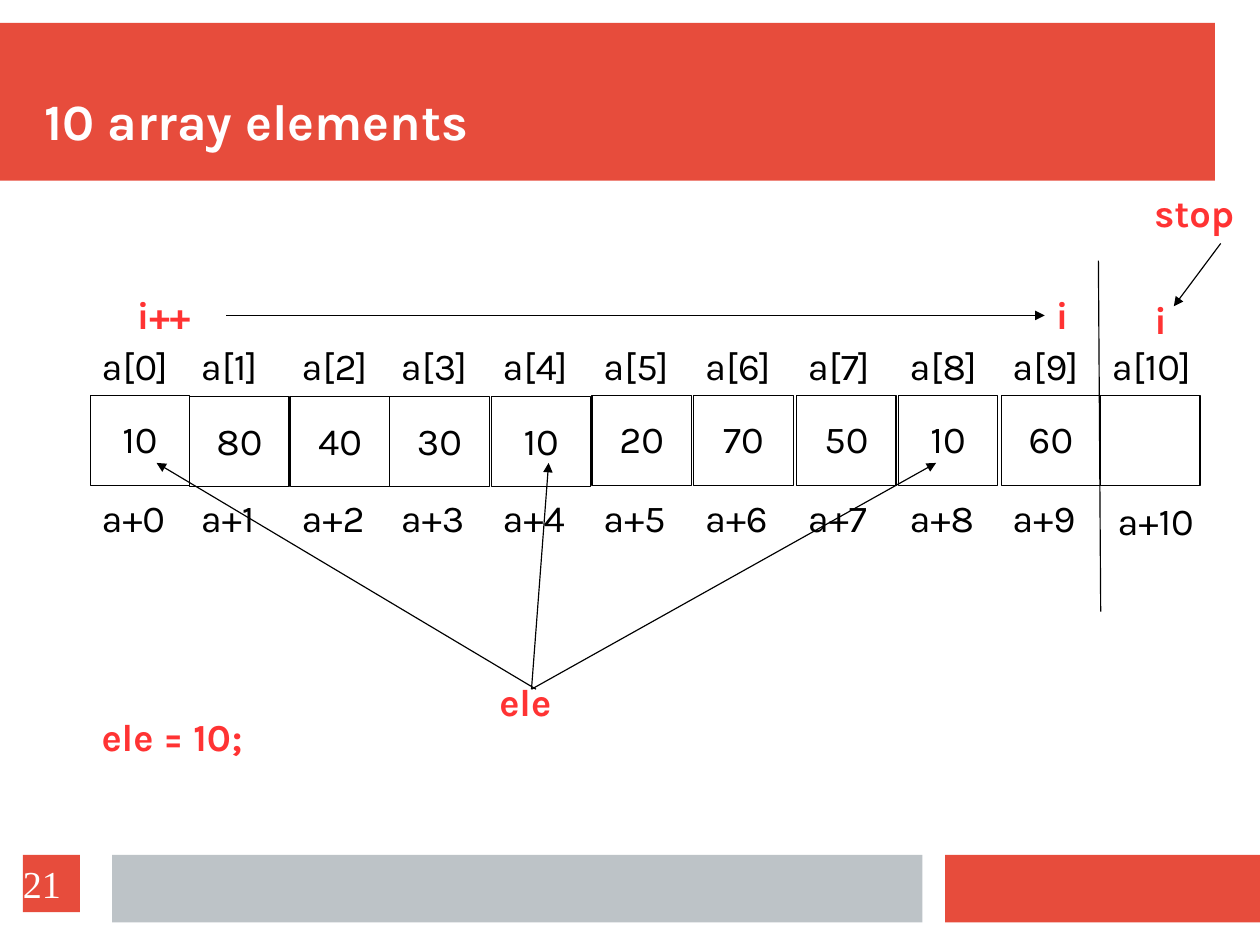
from dataclasses import dataclass
from typing import Optional

from lxml import etree
from pptx import Presentation
from pptx.dml.color import RGBColor
from pptx.enum import shapes, text
from pptx.oxml import ns
from pptx.util import Inches, Pt

RED = RGBColor(0xE7, 0x4C, 0x3C)
GRAY = RGBColor(0xBD, 0xC3, 0xC7)
ACCENT = RGBColor(0xFF, 0x33, 0x33)
WHITE = RGBColor(0xFF, 0xFF, 0xFF)
BLACK = RGBColor(0, 0, 0)

CM_PER_INCH = 2.54
SLIDE_WIDTH_CM, SLIDE_HEIGHT_CM = 28, 21

CELL_LEFTS = [0.79, 1.66, 2.54, 3.41, 4.3, 5.18, 6.07, 6.97, 7.86, 8.76, 9.63]
CELL_VALUES = ["10", "80", "40", "30", "10", "20", "70", "50", "10", "60", ""]
CELL_WIDTH, CELL_HEIGHT = 0.87, 0.79
INDEX_TOP, CELL_TOP, ADDRESS_TOP = 2.97, 3.46, 4.3
LABEL_WIDTH, LAST_LABEL_WIDTH, LABEL_HEIGHT = 0.88, 1.1, 0.5


@dataclass(frozen=True)
class Style:
    size: int = 24
    color: RGBColor = BLACK
    bold: bool = False
    font: str = "Karla"
    align: text.PP_ALIGN = text.PP_ALIGN.LEFT
    anchor: text.MSO_ANCHOR = text.MSO_ANCHOR.TOP
    padded: bool = True
    spacing: float = 0.97


@dataclass(frozen=True)
class Box:
    left: float
    top: float
    width: float
    height: float
    words: str = ""
    fill: Optional[RGBColor] = None
    outlined: bool = False
    style: Style = Style()


@dataclass(frozen=True)
class Line:
    x1: float
    y1: float
    x2: float
    y2: float
    arrow: bool = True


VALUE = Style(align=text.PP_ALIGN.CENTER, anchor=text.MSO_ANCHOR.MIDDLE)
NOTE = Style(color=ACCENT, bold=True)
TITLE = Style(32, WHITE, True, anchor=text.MSO_ANCHOR.BOTTOM, padded=False)
PAGE = Style(color=WHITE, font="Times New Roman", anchor=text.MSO_ANCHOR.MIDDLE,
             padded=False, spacing=1.0)

FRAME = [
    Box(0, 0.2, 10.63, 1.38, fill=RED),
    Box(8.27, 7.48, 2.76, 0.59, fill=RED),
    Box(0.98, 7.48, 7.09, 0.59, fill=GRAY),
    Box(0.39, 0.39, 10.19, 0.94, "10 array elements", style=TITLE),
    Box(0.2, 7.48, 0.5, 0.5, "21", RED, style=PAGE),
]
NOTES = [
    Box(1.1, 2.52, 0.87, LABEL_HEIGHT, "i++", style=NOTE),
    Box(9.14, 2.52, 0.31, LABEL_HEIGHT, "i", style=NOTE),
    Box(10, 2.57, 0.31, LABEL_HEIGHT, "i", style=NOTE),
    Box(10, 1.63, 1.02, LABEL_HEIGHT, "stop", style=NOTE),
    Box(0.79, 6.22, 1.88, LABEL_HEIGHT, "ele = 10;", style=NOTE),
    Box(4.27, 5.91, 0.77, LABEL_HEIGHT, "ele", style=NOTE),
]
LINES = [
    Line(1.98, 2.76, 9.14, 2.76),
    Line(9.61, 2.28, 9.63, 5.35, arrow=False),
    Line(10.68, 2.13, 10.27, 2.68),
    Line(4.69, 6.03, 1.37, 4.05),
    Line(4.65, 6.03, 4.8, 4.05),
    Line(4.65, 6.03, 8.19, 4.05),
]


def array_boxes() -> list[Box]:
    boxes = []
    last = len(CELL_LEFTS) - 1
    for i, (left, value) in enumerate(zip(CELL_LEFTS, CELL_VALUES)):
        top = CELL_TOP + (0.01 if 1 <= i <= 4 else 0)
        width = LAST_LABEL_WIDTH if i == last else LABEL_WIDTH
        dx, dy = (0.05, 0.03) if i == last else (0, 0)
        boxes += [
            Box(left, top, CELL_WIDTH, CELL_HEIGHT, value, WHITE, True, VALUE),
            Box(left, INDEX_TOP, width, LABEL_HEIGHT, f"a[{i}]"),
            Box(left + dx, ADDRESS_TOP + dy, width, LABEL_HEIGHT, f"a+{i}"),
        ]
    return boxes


def write(tf, words: str, style: Style) -> None:
    tf.word_wrap = True
    tf.vertical_anchor = style.anchor
    tf.margin_left = tf.margin_right = Inches(0.1 if style.padded else 0)
    tf.margin_top = tf.margin_bottom = Inches(0.05 if style.padded else 0)
    p = tf.paragraphs[0]
    p.alignment = style.align
    p.line_spacing = style.spacing
    r = p.add_run()
    r.text = words
    r.font.size = Pt(style.size)
    r.font.name = style.font
    r.font.bold = style.bold
    r.font.color.rgb = style.color


def draw_box(s, box: Box) -> None:
    place = [Inches(v) for v in (box.left, box.top, box.width, box.height)]
    if box.fill is None:
        sp = s.shapes.add_textbox(*place)
    else:
        sp = s.shapes.add_shape(shapes.MSO_SHAPE.RECTANGLE, *place)
        sp.shadow.inherit = False
        sp.fill.solid()
        sp.fill.fore_color.rgb = box.fill
        if box.outlined:
            sp.line.color.rgb = BLACK
            sp.line.width = Pt(0.75)
        else:
            sp.line.fill.background()
    if box.words:
        write(sp.text_frame, box.words, box.style)


def draw_line(s, line: Line) -> None:
    ends = [Inches(v) for v in (line.x1, line.y1, line.x2, line.y2)]
    sp = s.shapes.add_connector(shapes.MSO_CONNECTOR.STRAIGHT, *ends)
    sp.line.color.rgb = BLACK
    sp.line.width = Pt(0.75)
    if line.arrow:
        etree.SubElement(sp.line._get_or_add_ln(), ns.qn("a:tailEnd"), type="triangle")
    etree.SubElement(sp._element.spPr, ns.qn("a:effectLst"))


def main() -> None:
    prs = Presentation()
    prs.slide_width = Inches(SLIDE_WIDTH_CM / CM_PER_INCH)
    prs.slide_height = Inches(SLIDE_HEIGHT_CM / CM_PER_INCH)
    s = prs.slides.add_slide(prs.slide_layouts[6])
    for box in FRAME + array_boxes() + NOTES:
        draw_box(s, box)
    for line in LINES:
        draw_line(s, line)
    prs.save("out.pptx")


if __name__ == "__main__":
    main()
